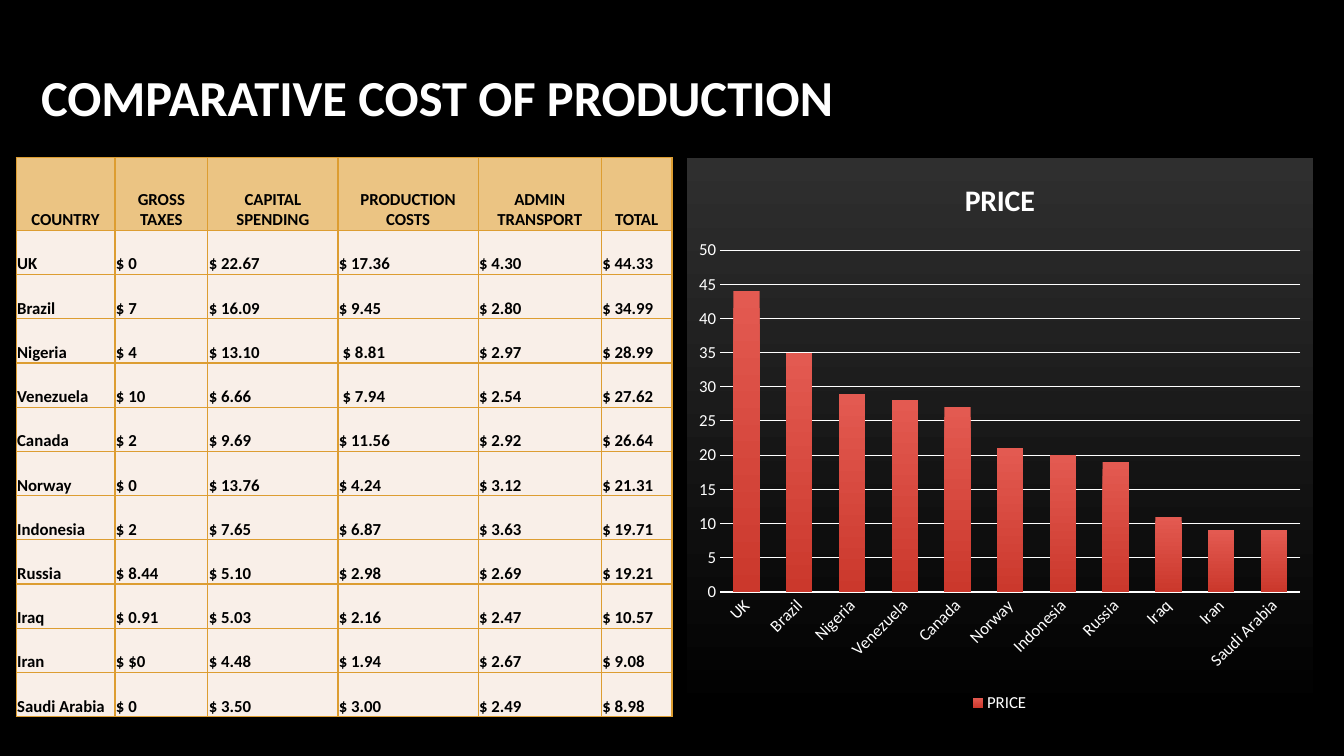
import pptx
import pptx.chart.data
import pptx.dml.color
import pptx.dml.fill
import pptx.dml.line
import pptx.enum.chart
import pptx.enum.text
import pptx.oxml
import pptx.oxml.ns
import pptx.util

COLORS = {
    "background": "000000", "light": "FFFFFF", "dark": "000000",
    "header": "EBC483", "body": "F9EFE8", "border": "DD9D31",
    "bar_top": "E35A51", "bar_bottom": "CB382C",
    "panel_top": "2F2F2F", "panel_bottom": "000000",
}
HEADINGS = ["COUNTRY", "GROSS TAXES", "CAPITAL SPENDING", "PRODUCTION COSTS",
            "ADMIN TRANSPORT", "TOTAL"]
COSTS = [
    ["UK", "$ 0", "$ 22.67", "$ 17.36", "$ 4.30", "$ 44.33"],
    ["Brazil", "$ 7", "$ 16.09", "$ 9.45", "$ 2.80", "$ 34.99"],
    ["Nigeria", "$ 4", "$ 13.10", " $ 8.81", "$ 2.97", "$ 28.99"],
    ["Venezuela", "$ 10", "$ 6.66", " $ 7.94", "$ 2.54", "$ 27.62"],
    ["Canada", "$ 2", "$ 9.69", "$ 11.56", "$ 2.92", "$ 26.64"],
    ["Norway", "$ 0", "$ 13.76", "$ 4.24", "$ 3.12", "$ 21.31"],
    ["Indonesia", "$ 2", "$ 7.65", "$ 6.87", "$ 3.63", "$ 19.71"],
    ["Russia", "$ 8.44", "$ 5.10", "$ 2.98", "$ 2.69", "$ 19.21"],
    ["Iraq", "$ 0.91", "$ 5.03", "$ 2.16", "$ 2.47", "$ 10.57"],
    ["Iran", "$ $0", "$ 4.48", "$ 1.94", "$ 2.67", "$ 9.08"],
    ["Saudi Arabia", "$ 0", "$ 3.50", "$ 3.00", "$ 2.49", "$ 8.98"],
]
COLUMN_WEIGHTS = [0.98, 0.92, 1.29, 1.39, 1.22, 0.7]
HEADER_SHARE = 0.13


class CostSlide:
    font_name = "Calibri"
    text_size = 12

    def __init__(self, presentation):
        self.width = presentation.slide_width
        self.height = presentation.slide_height
        self.slide = presentation.slides.add_slide(presentation.slide_layouts[5])
        fill = self.slide.background.fill
        fill.solid()
        fill.fore_color.rgb = self.color("background")

    def color(self, name):
        return pptx.dml.color.RGBColor.from_string(COLORS[name])

    def area(self, left, top, width, height):
        """Turn percentages of the slide into lengths."""
        return (int(self.width * left / 100), int(self.height * top / 100),
                int(self.width * width / 100), int(self.height * height / 100))

    def style_font(self, font, size, color="light", bold=False):
        font.name = self.font_name
        font.size = pptx.util.Pt(size)
        font.bold = bold
        font.color.rgb = self.color(color)

    def add_run(self, paragraph, text, size, color="light"):
        run = paragraph.add_run()
        run.text = text
        self.style_font(run.font, size, color, bold=True)

    def gradient(self, fill, top, bottom):
        """Fill from the top colour down to the bottom colour."""
        fill.gradient()
        fill.gradient_angle = 270
        for stop, name, position in zip(fill.gradient_stops, (top, bottom), (0, 1)):
            stop.color.rgb = self.color(name)
            stop.position = position

    def title(self, text, *area):
        shape = self.slide.shapes.title
        shape.left, shape.top, shape.width, shape.height = self.area(*area)
        frame = shape.text_frame
        frame.word_wrap = True
        frame.auto_size = pptx.enum.text.MSO_AUTO_SIZE.NONE
        frame.vertical_anchor = pptx.enum.text.MSO_ANCHOR.MIDDLE
        paragraph = frame.paragraphs[0]
        paragraph.alignment = pptx.enum.text.PP_ALIGN.LEFT
        self.add_run(paragraph, text, 36)

    def borders(self, cell):
        properties = cell._tc.get_or_add_tcPr()
        for side in "LRTB":
            properties.append(pptx.oxml.parse_xml(
                f'<a:ln{side} {pptx.oxml.ns.nsdecls("a")} w="12700"><a:solidFill>'
                f'<a:srgbClr val="{COLORS["border"]}"/></a:solidFill></a:ln{side}>'))

    def cell(self, cell, text, is_header):
        self.borders(cell)
        cell.fill.solid()
        cell.fill.fore_color.rgb = self.color("header" if is_header else "body")
        cell.margin_left = cell.margin_right = cell.margin_top = pptx.util.Inches(0.01)
        cell.margin_bottom = 0
        cell.vertical_anchor = pptx.enum.text.MSO_ANCHOR.BOTTOM
        paragraph = cell.text_frame.paragraphs[0]
        align = pptx.enum.text.PP_ALIGN
        paragraph.alignment = align.CENTER if is_header else align.LEFT
        self.add_run(paragraph, text, self.text_size, "dark")

    def table(self, rows, *area):
        left, top, width, height = self.area(*area)
        table = self.slide.shapes.add_table(
            len(rows), len(rows[0]), left, top, width, height).table
        table.first_row = table.horz_banding = False
        for column, weight in zip(table.columns, COLUMN_WEIGHTS):
            column.width = int(width * weight / sum(COLUMN_WEIGHTS))
        header_height = int(height * HEADER_SHARE)
        for index, texts in enumerate(rows):
            is_header = index == 0
            table.rows[index].height = (
                header_height if is_header else (height - header_height) // (len(rows) - 1))
            for column, text in enumerate(texts):
                self.cell(table.cell(index, column), text, is_header)

    def panel(self, chart):
        """Give the chart area its gradient and no outline."""
        properties = pptx.oxml.parse_xml(f'<c:spPr {pptx.oxml.ns.nsdecls("c", "a")}/>')
        chart._chartSpace.chart.addnext(properties)
        fill = pptx.dml.fill.FillFormat.from_fill_parent(properties)
        self.gradient(fill, "panel_top", "panel_bottom")
        pptx.dml.line.LineFormat(properties).fill.background()

    def line(self, line, width):
        line.color.rgb = self.color("light")
        line.width = pptx.util.Pt(width)

    def axes(self, chart):
        for axis in (chart.category_axis, chart.value_axis):
            axis.major_tick_mark = axis.minor_tick_mark = pptx.enum.chart.XL_TICK_MARK.NONE
            self.style_font(axis.tick_labels.font, self.text_size)
        self.line(chart.category_axis.format.line, 1)
        values = chart.value_axis
        values.minimum_scale, values.maximum_scale, values.major_unit = 0, 50, 5
        values.format.line.fill.background()
        values.has_major_gridlines = True
        self.line(values.major_gridlines.format.line, 0.75)

    def column_chart(self, name, categories, values, *area):
        data = pptx.chart.data.CategoryChartData()
        data.categories = categories
        data.add_series(name, values)
        chart = self.slide.shapes.add_chart(
            pptx.enum.chart.XL_CHART_TYPE.COLUMN_CLUSTERED, *self.area(*area), data).chart
        self.style_font(chart.font, 10)
        self.panel(chart)
        self.axes(chart)
        chart.has_title = True
        self.add_run(chart.chart_title.text_frame.paragraphs[0], name, 21.3)
        chart.has_legend = True
        chart.legend.position = pptx.enum.chart.XL_LEGEND_POSITION.BOTTOM
        chart.legend.include_in_layout = False
        self.style_font(chart.legend.font, self.text_size)
        plot = chart.plots[0]
        plot.gap_width, plot.overlap = 100, -24
        plot.vary_by_categories = False
        self.gradient(plot.series[0].format.fill, "bar_top", "bar_bottom")


def main():
    presentation = pptx.Presentation()
    presentation.slide_width = pptx.util.Inches(13.33)
    presentation.slide_height = pptx.util.Inches(7.5)
    slide = CostSlide(presentation)
    slide.title("COMPARATIVE COST OF PRODUCTION", 2.3, 2.13, 83.12, 21.2)
    slide.table([HEADINGS] + COSTS, 1.2, 20.85, 48.8, 73.95)
    countries = [row[0] for row in COSTS]
    totals = [round(float(row[-1].strip("$ "))) for row in COSTS]
    slide.column_chart("PRICE", countries, totals, 51.09, 20.87, 46.59, 73.95)
    presentation.save("out.pptx")


if __name__ == "__main__":
    main()
